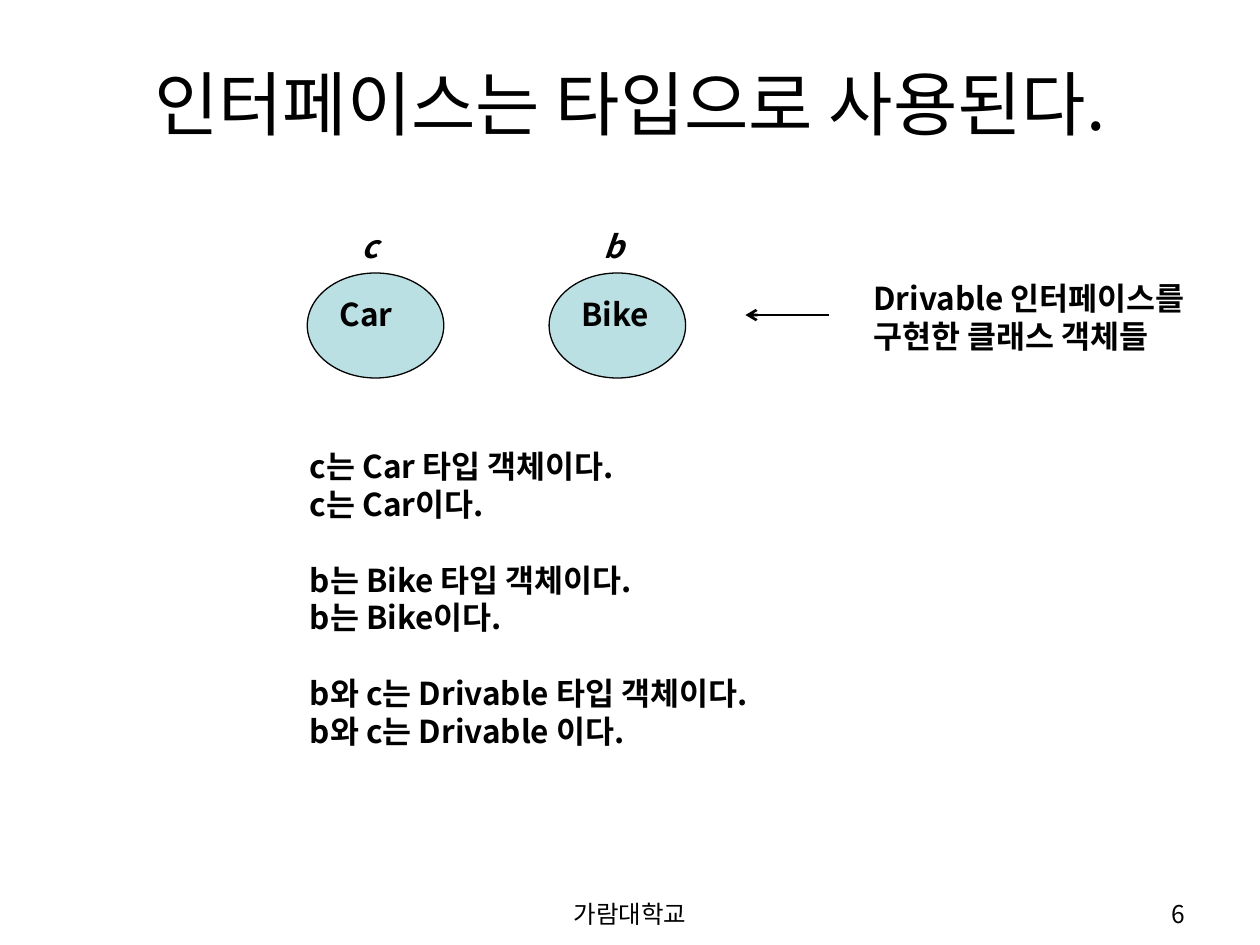
from lxml import etree
from pptx import Presentation
from pptx.dml.color import RGBColor
from pptx.enum.shapes import MSO_CONNECTOR, MSO_SHAPE
from pptx.enum.text import MSO_ANCHOR, PP_ALIGN
from pptx.oxml.ns import qn
from pptx.util import Pt

LEFT, CENTER, RIGHT = PP_ALIGN.LEFT, PP_ALIGN.CENTER, PP_ALIGN.RIGHT
TOP, MIDDLE = MSO_ANCHOR.TOP, MSO_ANCHOR.MIDDLE
FONT = "Noto Sans CJK KR"
BLACK, PALE_TEAL = "000000", "BBE0E3"
LEADING = 1.2

TITLE = "인터페이스는 타입으로 사용된다."
OBJECTS = [("c", "Car"), ("b", "Bike")]
STATEMENTS = [
    ("c는 Car 타입 객체이다.", "c는 Car이다."),
    ("b는 Bike 타입 객체이다.", "b는 Bike이다."),
    ("b와 c는 Drivable 타입 객체이다.", "b와 c는 Drivable 이다."),
]
CAPTION = ["Drivable 인터페이스를", "구현한 클래스 객체들"]
FOOTER, PAGE_NUMBER = "가람대학교", "6"

OVAL_LEFT, OVAL_TOP, OVAL_STEP = 175.6, 156, 138.2
OVAL_WIDTH, OVAL_HEIGHT = 78, 60


def color(value):
    """Turn a hex string into a colour."""
    return RGBColor.from_string(value)


def write(shape, lines, size=18, bold=False, italic=False, align=LEFT,
          anchor=TOP, wrap=True, gaps=()):
    """Fill a shape with lines; those indexed in gaps get a line of space above."""
    frame = shape.text_frame
    frame.word_wrap = wrap
    frame.vertical_anchor = anchor
    for index, line in enumerate(lines):
        para = frame.paragraphs[0] if index == 0 else frame.add_paragraph()
        para.alignment = align
        para.line_spacing = Pt(size * LEADING)
        para.space_before = Pt(size * LEADING if index in gaps else 0)
        span = para.add_run()
        span.text = line
        span.font.size = Pt(size)
        span.font.bold, span.font.italic = bold, italic
        span.font.name = FONT
        span.font.color.rgb = color(BLACK)
        east_asian = etree.SubElement(span.font._element, qn("a:ea"))
        east_asian.set("typeface", FONT)


def add_text(page, place, lines, **style):
    """Add a text box at (left, top, width, height) in points."""
    box = page.shapes.add_textbox(*map(Pt, place))
    write(box, lines, **style)


def add_object(page, left, name, type_name):
    """Add an oval for an object, with its variable name above."""
    oval = page.shapes.add_shape(MSO_SHAPE.OVAL, Pt(left), Pt(OVAL_TOP),
                                 Pt(OVAL_WIDTH), Pt(OVAL_HEIGHT))
    oval.shadow.inherit = False
    oval.fill.solid()
    oval.fill.fore_color.rgb = color(PALE_TEAL)
    oval.line.color.rgb = color(BLACK)
    oval.line.width = Pt(0.75)
    write(oval, [type_name], bold=True, wrap=False)
    add_text(page, (left + 24, OVAL_TOP - 30, 25, 28.8), [name],
             bold=True, italic=True, wrap=False)


def add_arrow(page, start, end):
    """Add a line with an open arrowhead at its end."""
    arrow = page.shapes.add_connector(MSO_CONNECTOR.STRAIGHT,
                                      *map(Pt, start + end))
    arrow.line.color.rgb = color(BLACK)
    arrow.line.width = Pt(1.5)
    line = arrow.line._get_or_add_ln()
    etree.SubElement(line, qn("a:tailEnd")).set("type", "arrow")
    etree.SubElement(arrow._element.spPr, qn("a:effectLst"))


deck = Presentation()
deck.slide_width, deck.slide_height = Pt(720), Pt(540)
page = deck.slides.add_slide(deck.slide_layouts[5])

title = page.shapes.title
title.left, title.top, title.width, title.height = map(Pt, (36, 21.6, 648, 74.4))
write(title, [TITLE], size=40, align=CENTER, anchor=MIDDLE)

for index, (name, type_name) in enumerate(OBJECTS):
    add_object(page, OVAL_LEFT + index * OVAL_STEP, name, type_name)
add_arrow(page, (474, 180), (426, 180))
add_text(page, (492, 156, 204.5, 51), CAPTION, bold=True, wrap=False)

lines, gaps = [], []
for group in STATEMENTS:
    if lines:
        gaps.append(len(lines))
    lines.extend(group)
add_text(page, (170, 252, 280, 181.4), lines, bold=True, gaps=gaps)

add_text(page, (246, 510, 228, 19.4), [FOOTER], size=14, align=CENTER)
add_text(page, (516, 510, 168, 19.4), [PAGE_NUMBER], size=14, align=RIGHT)

deck.save("out.pptx")
